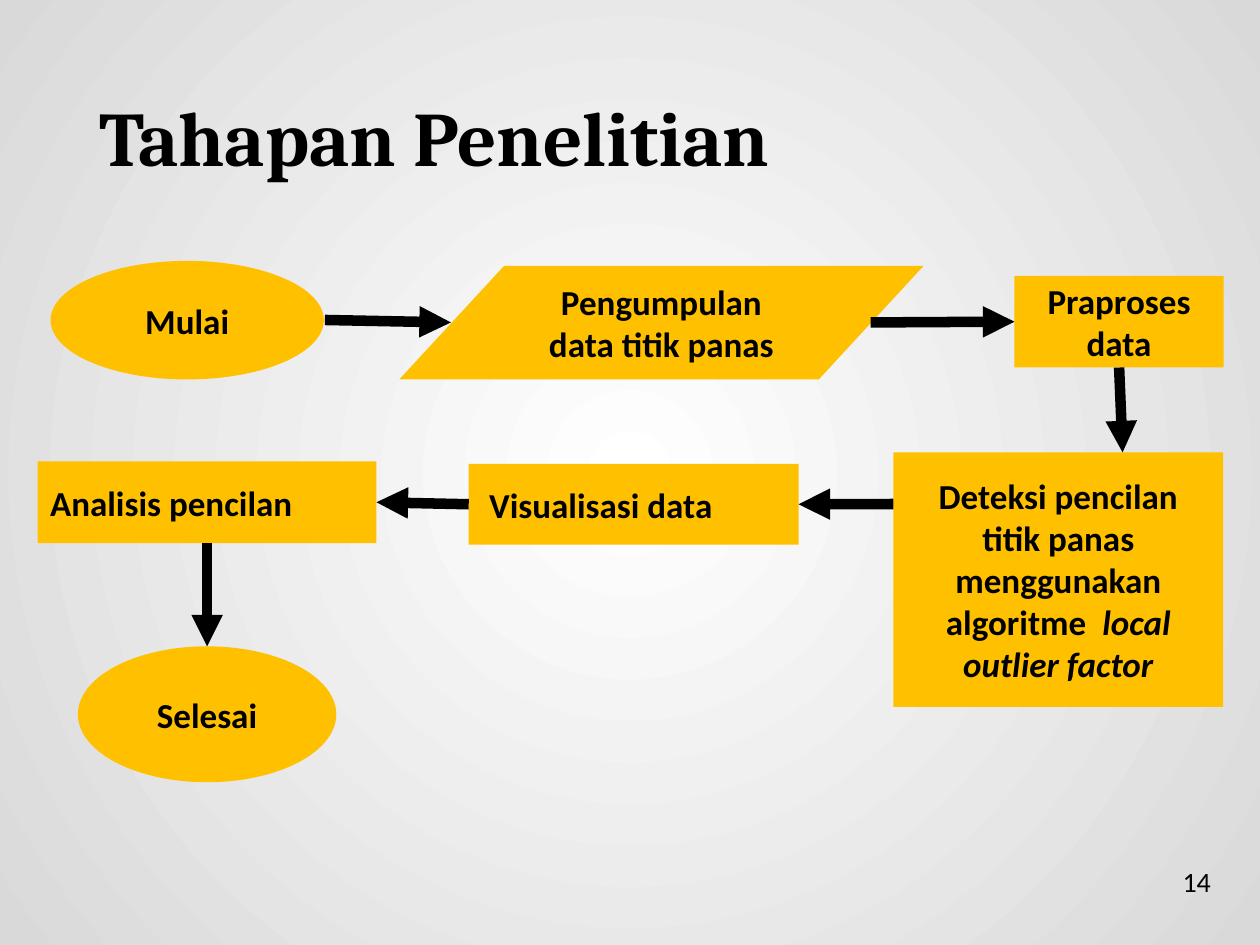
from lxml.etree import SubElement
from pptx import Presentation
from pptx.dml.color import RGBColor
from pptx.enum.shapes import MSO_CONNECTOR, MSO_SHAPE as Shape
from pptx.enum.text import MSO_ANCHOR as Anchor, PP_ALIGN as Align
from pptx.oxml.ns import qn
from pptx.util import Cm, Pt

COLOURS = {"ink": "000000", "step": "FFC000", "centre": "FFFFFF", "edge": "D9D9D9"}
TOP, LEFT, BOTTOM, RIGHT = range(4)


def colour(name):
    return RGBColor.from_string(COLOURS[name])


class FlowSlide:
    """Holds the style and the current slide."""

    body_font, title_font = "Calibri", "Cambria"
    step_size, arrow_width = 20, 6

    def __init__(self, deck):
        self.page = deck.slides.add_slide(deck.slide_layouts[6])

    def background(self):
        fill = self.page.background.fill
        fill.gradient()
        for stop, name, position in zip(fill.gradient_stops, ("centre", "edge"), (0, 1)):
            stop.color.rgb = colour(name)
            stop.position = position
        # Turn the linear gradient into a circular one
        linear = next(self.page.element.iter(qn("a:lin")))
        gradient = linear.getparent()
        gradient.remove(linear)
        circle = SubElement(gradient, qn("a:path"), {"path": "circle"})
        SubElement(circle, qn("a:fillToRect"), l="50000", t="50000", r="50000", b="50000")

    def set_text(self, box, lines, size, font=None, bold=False, align=Align.LEFT):
        """Fill a box with lines, each a list of (text, italic) spans."""
        frame = box.text_frame
        frame.word_wrap = True
        frame.vertical_anchor = Anchor.MIDDLE
        for index, spans in enumerate(lines):
            para = frame.add_paragraph() if index else frame.paragraphs[0]
            para.alignment = align
            for text, italic in spans:
                span = para.add_run()
                span.text = text
                span.font.name = font or self.body_font
                span.font.size = Pt(size)
                span.font.bold = bold
                span.font.italic = italic
                span.font.color.rgb = colour("ink")

    def text(self, place, text, size, **style):
        box = self.page.shapes.add_textbox(*map(Cm, place))
        self.set_text(box, [[(text, False)]], size, **style)
        return box

    def step(self, kind, place, *lines, align=Align.CENTER):
        box = self.page.shapes.add_shape(kind, *map(Cm, place))
        box.shadow.inherit = False
        box.fill.solid()
        box.fill.fore_color.rgb = colour("step")
        box.line.fill.background()
        spans = [[(line, False)] if isinstance(line, str) else line for line in lines]
        self.set_text(box, spans, self.step_size, bold=True, align=align)
        return box

    def arrow(self, start, end, source=None, target=None):
        """Draw an arrow; source and target are (box, side) pairs to join."""
        link = self.page.shapes.add_connector(
            MSO_CONNECTOR.STRAIGHT, *map(Cm, start + end))
        if source:
            link.begin_connect(*source)
        if target:
            link.end_connect(*target)
        link.line.color.rgb = colour("ink")
        link.line.width = Pt(self.arrow_width)
        outline = next(link.element.iter(qn("a:ln")))
        SubElement(outline, qn("a:tailEnd"), type="triangle")
        SubElement(link.element.spPr, qn("a:effectLst"))


def main():
    deck = Presentation()
    deck.slide_width, deck.slide_height = Cm(25.4), Cm(19.05)
    flow = FlowSlide(deck)
    flow.background()

    # Title and page number
    title = flow.text((1.75, 1.02, 21.89, 3.68), "Tahapan Penelitian", 44,
                      font=flow.title_font, bold=True)
    title.text_frame.paragraphs[0].line_spacing = 0.9
    flow.text((17.04, 17.25, 7.62, 1.02), "14", 16, align=Align.RIGHT)

    # Steps
    flow.step(Shape.OVAL, (1.02, 5.26, 5.51, 2.39), "Mulai")
    flow.step(Shape.FLOWCHART_DATA, (8.05, 5.36, 10.57, 2.29),
              "Pengumpulan", "data titik panas")
    preprocess = flow.step(Shape.RECTANGLE, (20.45, 5.56, 4.22, 1.85), "Praproses data")
    flow.step(Shape.RECTANGLE, (18.01, 9.12, 6.65, 5.13),
              [("Deteksi pencilan titik panas menggunakan algoritme  ", False),
               ("local outlier factor", True)])
    visualise = flow.step(Shape.RECTANGLE, (9.45, 9.35, 6.65, 1.63),
                          "Visualisasi data", align=Align.LEFT)
    visualise.text_frame.margin_left = Cm(0.41)
    analyse = flow.step(Shape.RECTANGLE, (0.76, 9.3, 6.83, 1.65),
                        "Analisis pencilan", align=Align.LEFT)
    finish = flow.step(Shape.OVAL, (1.57, 13.03, 5.21, 2.74), "Selesai")

    # Arrows in reading order
    flow.arrow((6.55, 6.45), (9.09, 6.5))
    flow.arrow((17.55, 6.5), (20.45, 6.48), target=(preprocess, LEFT))
    flow.arrow((22.56, 7.41), (22.63, 9.12), source=(preprocess, BOTTOM))
    flow.arrow((18.01, 10.16), (16.1, 10.16), target=(visualise, RIGHT))
    flow.arrow((9.45, 10.13), (7.59, 10.13), (visualise, LEFT), (analyse, RIGHT))
    flow.arrow((4.17, 10.95), (4.17, 13.03), (analyse, BOTTOM), (finish, TOP))

    deck.save("out.pptx")


if __name__ == "__main__":
    main()
